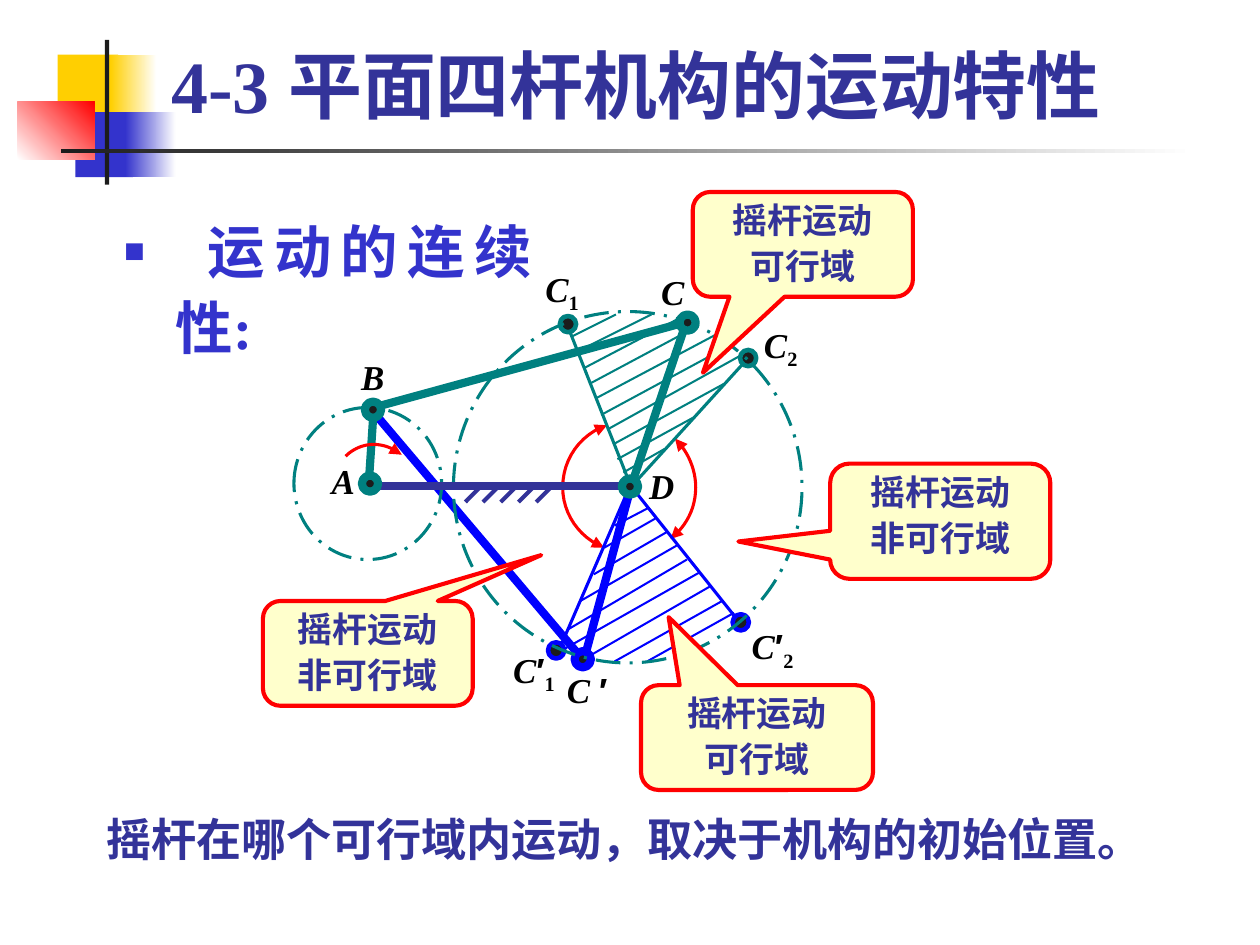
from dataclasses import dataclass

from lxml import etree
from pptx import Presentation
from pptx import util as u
from pptx.dml.color import RGBColor
from pptx.enum import dml, shapes, text
from pptx.oxml.ns import qn

PX = 9144  # EMU per px, 100 px to the inch
TEAL, BLUE, NAVY, RED = "008080", "0000FF", "333399", "FF0000"
INDIGO, DARK, WHITE = "3333CC", "1C1C1C", "FFFFFF"
SERIF, SANS = "Times New Roman", "Arial"
Box = tuple[int, int, int, int]
Point = tuple[int, int]


@dataclass
class Bar:
    box: Box
    start: str
    end: str = ""
    angle: int = 0


@dataclass
class Links:
    """Straight lines (x1, y1, x2, y2) of one colour and width."""
    color: str
    width: float
    ends: list[Box]


@dataclass
class Joints:
    color: str
    width: float
    corners: list[Point]


@dataclass
class Arc:
    """A cubic curve chain: a start, then two controls and an end per piece."""
    points: list[Point]
    double: bool = True


@dataclass
class Label:
    box: Box
    letter: str
    prime: str = ""
    sub: str = ""


@dataclass
class Callout:
    box: Box
    tip: Point  # thousandths of the box size, from its centre
    region: str


@dataclass
class Style:
    size: float
    color: str
    align: text.PP_ALIGN
    spacing: float = 1.0
    before: float = 0
    italic: bool = False


BARS = [
    Bar((39, 37, 41, 44), "FFCF01"),
    Bar((75, 37, 31, 44), "FFCF01", WHITE),
    Bar((51, 76, 39, 44), INDIGO),
    Bar((85, 76, 34, 44), INDIGO, WHITE),
    Bar((12, 69, 52, 39), WHITE, RED, 45),
    Bar((71, 27, 3, 98), DARK),
    Bar((41, 101, 768, 3), DARK, WHITE),
]
MECHANISM = [
    Arc([(457, 297), (466, 306), (471, 318), (471, 330), (471, 344), (465, 356), (454, 365)]),
    Arc([(409, 371), (392, 364), (381, 348), (381, 330), (381, 311), (393, 294), (411, 288)]),
    Links(TEAL, 1, [
        (387, 228, 417, 213), (391, 238, 441, 213), (396, 249, 459, 216),
        (399, 260, 472, 221), (403, 270, 484, 227), (407, 281, 494, 234),
        (411, 291, 501, 241), (415, 301, 490, 260), (418, 311, 469, 283),
        (422, 320, 450, 304)]),
    Links(TEAL, 1.5, [(427, 329, 384, 220), (427, 330, 507, 242)]),
    Joints(TEAL, 2.25, [(501, 237), (379, 214)]),
    Links(BLUE, 1.5, [(379, 439, 427, 328), (427, 329, 501, 422)]),
    Links(BLUE, 1, [
        (416, 356, 439, 344), (409, 371, 444, 351), (402, 389, 452, 360),
        (393, 407, 459, 369), (385, 426, 465, 379), (383, 439, 473, 388),
        (396, 446, 481, 397), (416, 448, 489, 407), (438, 448, 497, 415)]),
    Joints(BLUE, 2.25, [(371, 435), (496, 416)]),
    Links(BLUE, 4, [(252, 278, 394, 446), (395, 448, 426, 334)]),
    Joints(BLUE, 4, [(389, 441)]),
]
ORBITS: list[Box] = [(199, 276, 100, 103), (307, 211, 236, 238)]
LINKAGE = [
    Links(TEAL, 4, [(250, 322, 253, 277), (253, 276, 465, 218), (427, 330, 465, 217)]),
    Joints(TEAL, 4, [(460, 213)]),
    Arc([(234, 309), (239, 304), (246, 301), (253, 301), (260, 301), (267, 304), (272, 308)],
        double=False),
    Joints(TEAL, 4, [(247, 272)]),
    Links(NAVY, 4, [(251, 329, 427, 329)]),
    Links(NAVY, 2, [(x, 329, x - 11, 340) for x in range(326, 375, 12)]),
    Joints(TEAL, 4, [(245, 322), (421, 324)]),
]
LABELS = [
    Label((347, 177, 67, 41), "C", sub="1"),
    Label((494, 215, 69, 41), "C", sub="2"),
    Label((326, 435, 71, 41), "C", "′", "1"),
    Label((482, 419, 82, 41), "C", "′", "2"),
    Label((368, 449, 59, 37), "C ", "′"),
    Label((439, 179, 33, 37), "C"),
    Label((216, 307, 33, 37), "A"),
    Label((431, 311, 34, 37), "D"),
    Label((236, 237, 33, 37), "B"),
]
CALLOUTS = [
    Callout((469, 130, 149, 71), (-454, 1225), "可行域"),
    Callout((434, 464, 157, 71), (-381, -1150), "可行域"),
    Callout((562, 314, 149, 78), (-917, 176), "非可行域"),
    Callout((178, 407, 142, 71), (827, -938), "非可行域"),
]


def rgb(color: str) -> RGBColor:
    return RGBColor.from_string(color)


def emu(lengths) -> list[int]:
    return [round(n * PX) for n in lengths]


def frame(tf, wrap: bool = True, anchor=text.MSO_ANCHOR.TOP) -> None:
    tf.margin_left = tf.margin_right = 9 * PX
    tf.margin_top = tf.margin_bottom = 4 * PX
    tf.word_wrap, tf.auto_size, tf.vertical_anchor = wrap, text.MSO_AUTO_SIZE.NONE, anchor


def format_paragraph(p, style: Style) -> None:
    p.alignment, p.line_spacing = style.align, style.spacing
    p.space_before = u.Pt(style.before)
    font = p.font
    font.name, font.size, font.bold = SERIF, u.Pt(style.size), True
    font.italic, font.color.rgb = style.italic, rgb(style.color)


def write(tf, lines: list[str], style: Style) -> None:
    for i, line in enumerate(lines):
        p = tf.add_paragraph() if i else tf.paragraphs[0]
        p.add_run().text = line
        format_paragraph(p, style)


def add_bullet(p, color: str) -> None:
    pPr = p._p.get_or_add_pPr()
    pPr.set("marL", str(47 * PX))
    pPr.set("indent", str(-35 * PX))
    last = pPr.find(qn("a:defRPr"))
    clr = etree.Element(qn("a:buClr"))
    etree.SubElement(clr, qn("a:srgbClr"), val=color)
    for el in (clr, etree.Element(qn("a:buSzPct"), val="60000"),
               etree.Element(qn("a:buFont"), typeface=SANS),
               etree.Element(qn("a:buChar"), char="■")):
        last.addprevious(el)


def add_shape(s, kind, box: Box, fill: str = "", line: str = "", width: float = 0):
    sp = s.shapes.add_shape(kind, *emu(box))
    sp.shadow.inherit = False
    if fill:
        sp.fill.solid()
        sp.fill.fore_color.rgb = rgb(fill)
    else:
        sp.fill.background()
    if line:
        sp.line.color.rgb, sp.line.width = rgb(line), u.Pt(width)
    else:
        sp.line.fill.background()
    return sp


def draw_bar(s, bar: Bar) -> None:
    sp = add_shape(s, shapes.MSO_SHAPE.RECTANGLE, bar.box, bar.start)
    if bar.end:
        sp.fill.gradient()
        sp.fill.gradient_angle = bar.angle
        for stop, color in zip(sp.fill.gradient_stops, (bar.start, bar.end)):
            stop.color.rgb = rgb(color)


def draw_arc(s, arc: Arc, steps: int = 12) -> None:
    track = [arc.points[0]]
    for i in range(0, len(arc.points) - 1, 3):
        for t in (k / steps for k in range(1, steps + 1)):
            weights = ((1 - t) ** 3, 3 * t * (1 - t) ** 2, 3 * t * t * (1 - t), t ** 3)
            track.append(tuple(sum(w * q[axis] for w, q in zip(weights, arc.points[i:i + 4]))
                               for axis in (0, 1)))
    builder = s.shapes.build_freeform(*emu(track[0]))
    builder.add_line_segments([tuple(emu(q)) for q in track[1:]], close=False)
    sp = builder.convert_to_shape()
    sp.shadow.inherit = False
    sp.fill.background()
    sp.line.color.rgb, sp.line.width = rgb(RED), u.Pt(1.5)
    for tag in ("a:headEnd", "a:tailEnd") if arc.double else ("a:tailEnd",):
        etree.SubElement(sp.line._get_or_add_ln(), qn(tag), type="triangle")


def draw_part(s, part: Links | Joints | Arc) -> None:
    if isinstance(part, Arc):
        draw_arc(s, part)
    elif isinstance(part, Joints):
        for x, y in part.corners:
            add_shape(s, shapes.MSO_SHAPE.OVAL, (x, y, 11, 11), DARK, part.color, part.width)
    else:
        for ends in part.ends:
            c = s.shapes.add_connector(shapes.MSO_CONNECTOR.STRAIGHT, *emu(ends))
            c.line.color.rgb, c.line.width = rgb(part.color), u.Pt(part.width)
            etree.SubElement(c._element.spPr, qn("a:effectLst"))


def draw_label(s, label: Label) -> None:
    tf = s.shapes.add_textbox(*emu(label.box)).text_frame
    frame(tf, wrap=False)
    write(tf, [label.letter], Style(17, "000000", text.PP_ALIGN.CENTER, before=10.6, italic=True))
    for mark in filter(None, (label.prime, label.sub)):
        r = tf.paragraphs[0].add_run()
        r.text, r.font.italic = mark, False
        if mark == label.sub:
            r._r.get_or_add_rPr().set("baseline", "-25000")
        else:
            r.font.name = SANS


def draw_callout(s, callout: Callout) -> None:
    sp = add_shape(s, shapes.MSO_SHAPE.ROUNDED_RECTANGULAR_CALLOUT, callout.box, "FFFFCC", RED, 2)
    for i, n in enumerate((*callout.tip, 167)):
        sp.adjustments[i] = n / 1000
    frame(sp.text_frame)
    write(sp.text_frame, ["摇杆运动", callout.region],
          Style(17, NAVY, text.PP_ALIGN.CENTER, 0.9, 4.2))


def add_note(s, box: Box, line: str, style: Style):
    tf = s.shapes.add_textbox(*emu(box)).text_frame
    frame(tf)
    write(tf, [line], style)
    return tf.paragraphs[0]


def main() -> None:
    prs = Presentation()
    prs.slide_width, prs.slide_height = emu((853, 640))
    s = prs.slides.add_slide(prs.slide_layouts[5])
    title = s.shapes.title
    title.left, title.top, title.width, title.height = emu((107, 22, 727, 69))
    frame(title.text_frame, anchor=text.MSO_ANCHOR.BOTTOM)
    write(title.text_frame, ["4-3 平面四杆机构的运动特性"], Style(36, NAVY, text.PP_ALIGN.LEFT))

    for bar in BARS:
        draw_bar(s, bar)
    heading = add_note(s, (63, 138, 306, 111), " 运动的连续性:",
                       Style(28, INDIGO, text.PP_ALIGN.JUSTIFY, 1.1, 3.5))
    add_bullet(heading, INDIGO)
    add_note(s, (63, 542, 772, 58), "摇杆在哪个可行域内运动，取决于机构的初始位置。",
             Style(22, NAVY, text.PP_ALIGN.JUSTIFY, 1.1, 2.8))
    for part in MECHANISM:
        draw_part(s, part)
    for orbit in ORBITS:
        sp = add_shape(s, shapes.MSO_SHAPE.OVAL, orbit, line=TEAL, width=1.5)
        sp.line.dash_style = dml.MSO_LINE.LONG_DASH_DOT
    for part in LINKAGE:
        draw_part(s, part)
    for label in LABELS:
        draw_label(s, label)
    for callout in CALLOUTS:
        draw_callout(s, callout)
    prs.save("out.pptx")


if __name__ == "__main__":
    main()
